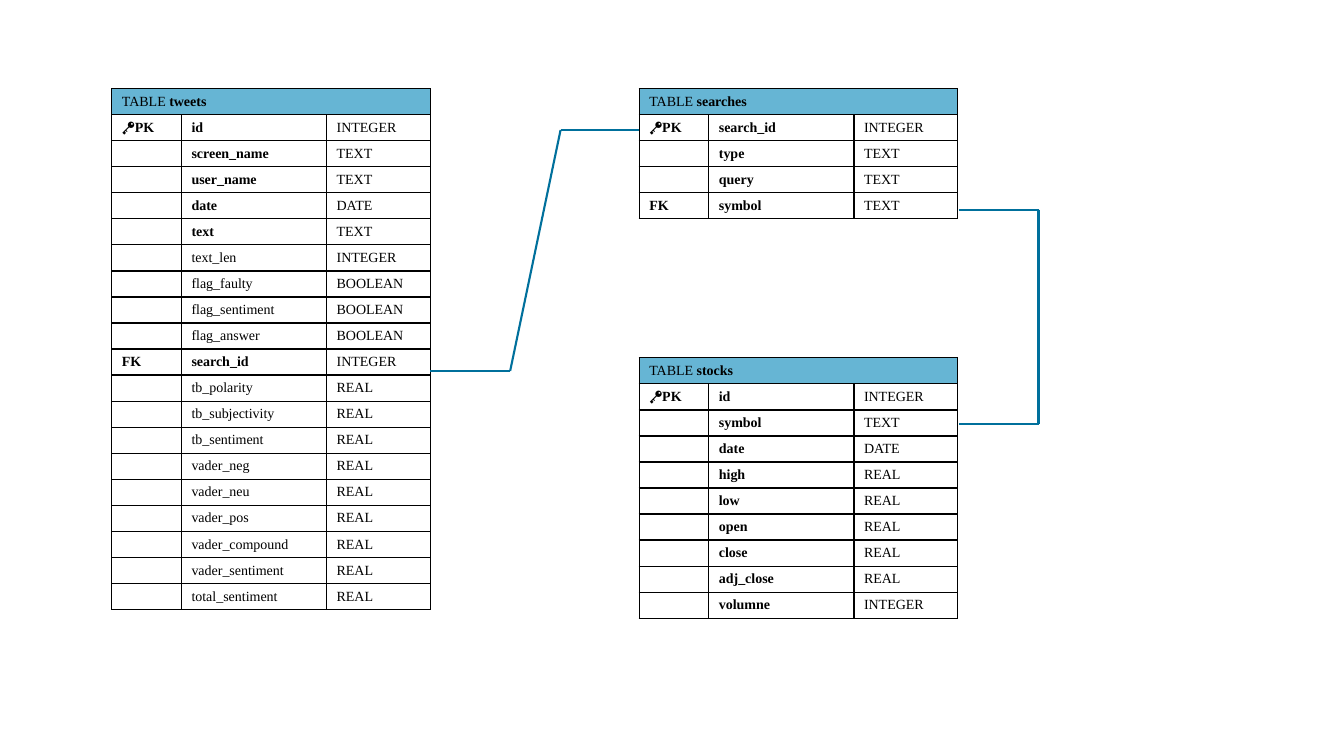
"""Database schema slide with three linked tables."""
import pptx
import pptx.dml.color
import pptx.enum.shapes
import pptx.enum.text
import pptx.oxml.ns
import pptx.util
from lxml import etree

Inches, Pt = pptx.util.Inches, pptx.util.Pt
RGBColor = pptx.dml.color.RGBColor
BLACK = RGBColor(0, 0, 0)
WHITE = RGBColor(255, 255, 255)
HEADER = RGBColor(0x66, 0xB5, 0xD4)
LINK = RGBColor(0x00, 0x70, 0x9C)
FONT = "Times New Roman"
SIZE = Pt(10)
ROW_HEIGHT = Pt(18.6)
COLUMNS = (0.69, 1.44, 1.03)
KEY = "\U0001F511PK"

TABLES = [
    ("tweets", 1.11, 0.88, [
        (KEY, "id", "INTEGER"),
        ("", "screen_name", "TEXT"),
        ("", "user_name", "TEXT"),
        ("", "date", "DATE"),
        ("", "text", "TEXT"),
        ("", "text_len", "INTEGER"),
        ("", "flag_faulty", "BOOLEAN"),
        ("", "flag_sentiment", "BOOLEAN"),
        ("", "flag_answer", "BOOLEAN"),
        ("FK", "search_id", "INTEGER"),
        ("", "tb_polarity", "REAL"),
        ("", "tb_subjectivity", "REAL"),
        ("", "tb_sentiment", "REAL"),
        ("", "vader_neg", "REAL"),
        ("", "vader_neu", "REAL"),
        ("", "vader_pos", "REAL"),
        ("", "vader_compound", "REAL"),
        ("", "vader_sentiment", "REAL"),
        ("", "total_sentiment", "REAL"),
    ]),
    ("searches", 6.34, 0.88, [
        (KEY, "search_id", "INTEGER"),
        ("", "type", "TEXT"),
        ("", "query", "TEXT"),
        ("FK", "symbol", "TEXT"),
    ]),
    ("stocks", 6.34, 3.55, [
        (KEY, "id", "INTEGER"),
        ("", "symbol", "TEXT"),
        ("", "date", "DATE"),
        ("", "high", "REAL"),
        ("", "low", "REAL"),
        ("", "open", "REAL"),
        ("", "close", "REAL"),
        ("", "adj_close", "REAL"),
        ("", "volumne", "INTEGER"),
    ]),
]
PLAIN_FIELDS = {"text_len", "flag_faulty", "flag_sentiment", "flag_answer"}
PLAIN_PREFIXES = ("tb_", "vader_", "total_")
LINKS = [
    [(4.27, 3.68), (5.06, 3.68), (5.56, 1.29), (6.34, 1.29)],
    [(9.51, 2.08), (10.3, 2.08), (10.3, 4.21), (9.51, 4.21)],
]


def sub(parent, tag, **attributes):
    return etree.SubElement(parent, pptx.oxml.ns.qn(tag), attributes)


def fill_cell(cell, runs, color):
    cell.fill.solid()
    cell.fill.fore_color.rgb = color
    cell.vertical_anchor = pptx.enum.text.MSO_ANCHOR.MIDDLE
    cell.margin_top = cell.margin_bottom = Inches(0.04)
    p = cell.text_frame.paragraphs[0]
    for text, bold in runs:
        r = p.add_run()
        r.text = text
        r.font.name, r.font.size, r.font.bold = FONT, SIZE, bold
        r.font.color.rgb = BLACK
    if not runs:
        sub(p._p, "a:endParaRPr", sz=str(int(SIZE.pt * 100)))
    properties = cell._tc.get_or_add_tcPr()
    for i, side in enumerate(("a:lnL", "a:lnR", "a:lnT", "a:lnB")):
        ln = etree.Element(pptx.oxml.ns.qn(side), w=str(Pt(1)))
        sub(sub(ln, "a:solidFill"), "a:srgbClr", val=str(BLACK))
        properties.insert(i, ln)


def add_schema(s, name, left, top, fields):
    rows = len(fields) + 1
    frame = s.shapes.add_table(rows, len(COLUMNS), Inches(left), Inches(top),
                               Inches(sum(COLUMNS)), ROW_HEIGHT * rows)
    table = frame.table
    table.first_row = table.horz_banding = False
    for column, width in zip(table.columns, COLUMNS):
        column.width = Inches(width)
    for row in table.rows:
        row.height = ROW_HEIGHT
    table.cell(0, 0).merge(table.cell(0, len(COLUMNS) - 1))
    title = [("TABLE ", False), (name, True)]
    for j in range(len(COLUMNS)):
        fill_cell(table.cell(0, j), [] if j else title, HEADER)
    for i, (key, field, kind) in enumerate(fields, 1):
        bold = field not in PLAIN_FIELDS and not field.startswith(PLAIN_PREFIXES)
        for j, (text, weight) in enumerate([(key, True), (field, bold), (kind, False)]):
            fill_cell(table.cell(i, j), [(text, weight)] if text else [], WHITE)


def add_link(s, points):
    for start, end in zip(points, points[1:]):
        line = s.shapes.add_connector(pptx.enum.shapes.MSO_CONNECTOR.STRAIGHT,
                                      *map(Inches, start + end))
        line.line.color.rgb = LINK
        line.line.width = Pt(1.5)
        sub(line._element.spPr, "a:effectLst")


prs = pptx.Presentation()
prs.slide_width, prs.slide_height = Inches(13.33), Inches(7.5)
s = prs.slides.add_slide(prs.slide_layouts[6])
for schema in TABLES:
    add_schema(s, *schema)
for points in LINKS:
    add_link(s, points)
prs.save("out.pptx")
